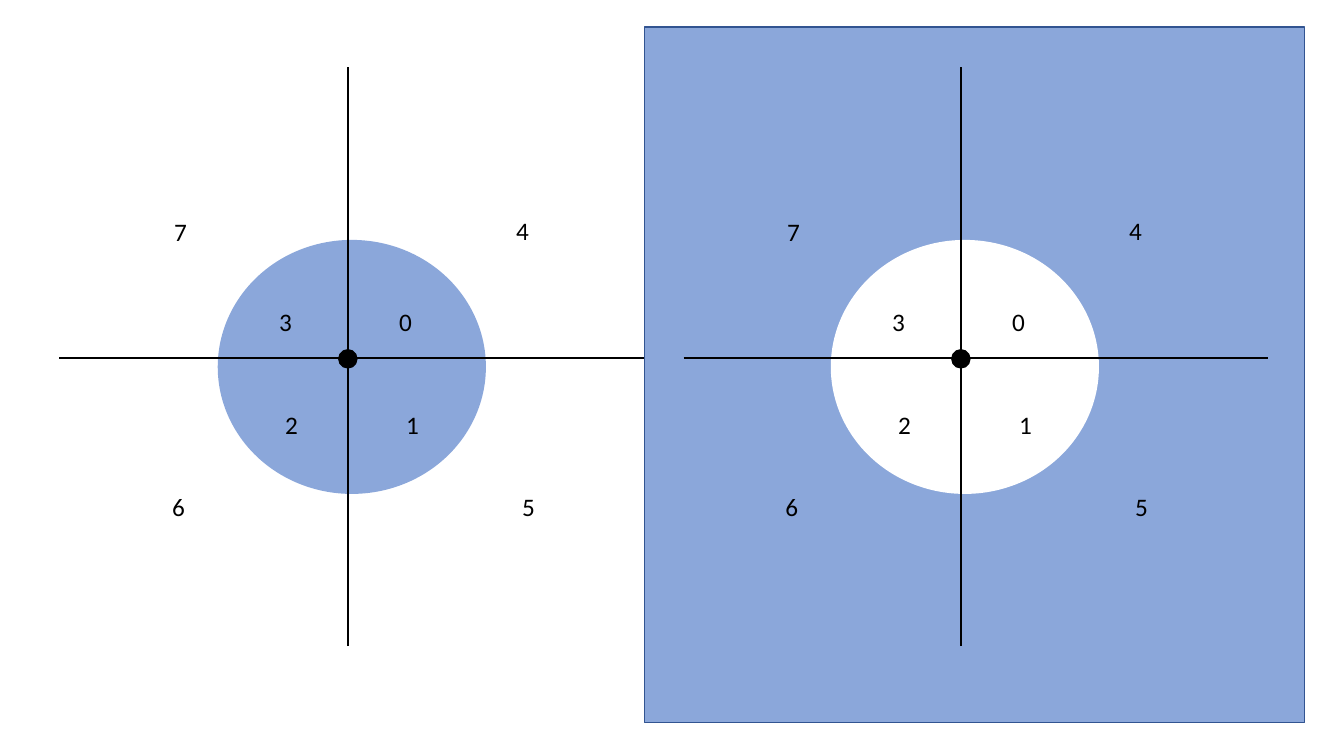
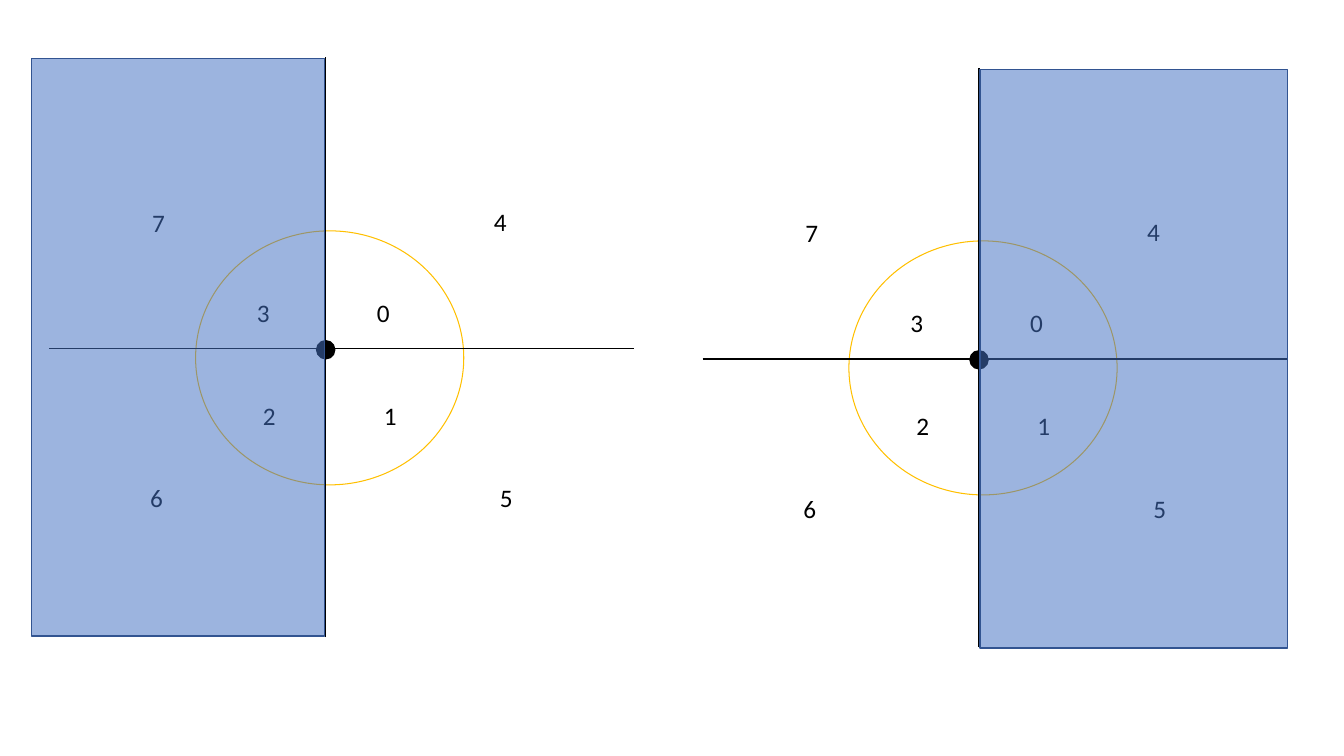
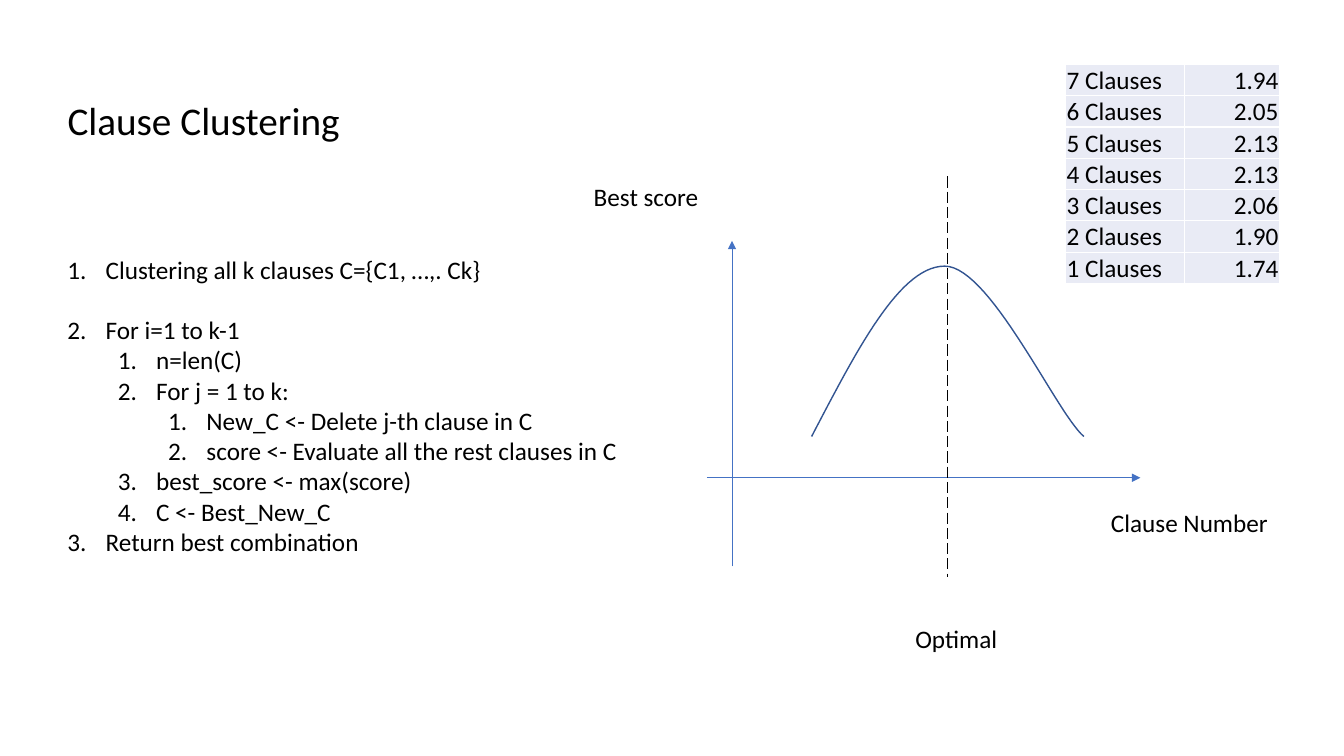
from dataclasses import dataclass

from lxml import etree
from pptx import Presentation
from pptx import util as u
from pptx.dml.color import RGBColor
from pptx.enum import dml, shapes, text
from pptx.oxml.ns import qn


@dataclass(frozen=True)
class Theme:
    font: str = "Calibri"
    ink: str = "000000"
    paper: str = "FFFFFF"
    blue: str = "4472C4"
    dark_blue: str = "325491"
    gold: str = "FFC000"
    cell: str = "E9EBF5"
    title_size: float = 28
    body_size: float = 18


THEME = Theme()

DIGIT_OFFSETS = [
    (0.41, -0.57), (0.48, 0.45), (-0.72, 0.45), (-0.78, -0.57),
    (1.57, -1.47), (1.63, 1.27), (-1.84, 1.27), (-1.82, -1.46),
]

STEPS = [
    (0, "Clustering all k clauses C={C1, …,. Ck}"),
    (0, "For i=1 to k-1"),
    (1, "n=len(C)"),
    (1, "For j = 1 to k:"),
    (2, "New_C <- Delete j-th clause in C"),
    (2, "score <- Evaluate all the rest clauses in C"),
    (1, "best_score <- max(score)"),
    (1, "C <- Best_New_C"),
    (0, "Return best combination"),
]

SCORES = ["1.94", "2.05", "2.13", "2.13", "2.06", "1.90", "1.74"]


def rgb(color):
    return RGBColor.from_string(color)


def inches(*lengths):
    return [u.Inches(length) for length in lengths]


def write(paragraph, words, size=THEME.body_size, color=THEME.ink, align=text.PP_ALIGN.LEFT):
    paragraph.alignment = align
    run = paragraph.add_run()
    run.text = words
    run.font.name = THEME.font
    run.font.size = u.Pt(size)
    run.font.color.rgb = rgb(color)


def fit_frame(frame, wrap=False):
    frame.word_wrap = wrap
    frame.auto_size = text.MSO_AUTO_SIZE.SHAPE_TO_FIT_TEXT
    frame.vertical_anchor = text.MSO_ANCHOR.TOP
    frame.margin_left = frame.margin_right = u.Inches(0.1)
    frame.margin_top = frame.margin_bottom = u.Inches(0.05)


def add_label(parent, words, left, top, width, height=0.4):
    label = parent.add_textbox(*inches(left, top, width, height))
    fit_frame(label.text_frame)
    write(label.text_frame.paragraphs[0], words)


def paint(shape, fill=None, opacity=100, line=None, line_width=1):
    shape.shadow.inherit = False
    if fill:
        shape.fill.solid()
        shape.fill.fore_color.rgb = rgb(fill)
        if opacity < 100:
            color = shape._element.spPr.find(qn("a:solidFill"))[0]
            etree.SubElement(color, qn("a:alpha")).set("val", str(opacity * 1000))
    else:
        shape.fill.background()
    if line:
        shape.line.color.rgb = rgb(line)
        shape.line.width = u.Pt(line_width)
    else:
        shape.line.fill.background()


def add_figure(parent, kind, left, top, width, height, **look):
    figure = parent.add_shape(kind, *inches(left, top, width, height))
    paint(figure, **look)
    return figure


def add_line(parent, start, end, color=THEME.ink, width=1, dash=None, arrow=False):
    line = parent.add_connector(shapes.MSO_CONNECTOR.STRAIGHT, *inches(*start, *end))
    line.line.color.rgb = rgb(color)
    line.line.width = u.Pt(width)
    if dash:
        line.line.dash_style = dash
    properties = line._element.spPr
    if arrow:
        etree.SubElement(properties.find(qn("a:ln")), qn("a:tailEnd")).set("type", "triangle")
    etree.SubElement(properties, qn("a:effectLst"))
    return line


def add_quadrants(slide, x, y, axis_left, **circle):
    parent = slide.shapes.add_group_shape().shapes
    oval = shapes.MSO_SHAPE.OVAL
    add_figure(parent, oval, x - 1.29, y - 1.18, 2.66, 2.52, **circle)
    axis_y = y - 0.01
    axis = add_line(parent, (axis_left, axis_y), (axis_left + 5.8, axis_y))
    add_line(parent, (x, y + 2.85), (x, y - 2.9))
    for digit, (dx, dy) in enumerate(DIGIT_OFFSETS):
        add_label(parent, str(digit), x + dx, y + dy, 0.33)
    add_figure(parent, oval, x - 0.09, y - 0.09, 0.18, 0.18, fill=THEME.ink, line=THEME.ink)
    return axis


def add_region(slide, left, top, width, height, opacity):
    return add_figure(slide.shapes, shapes.MSO_SHAPE.RECTANGLE, left, top, width, height,
                      fill=THEME.blue, opacity=opacity, line=THEME.dark_blue)


def add_steps(slide, left, top, width, height):
    frame = slide.shapes.add_textbox(*inches(left, top, width, height)).text_frame
    fit_frame(frame, wrap=True)
    for index, (level, words) in enumerate(STEPS):
        step = frame.add_paragraph() if index else frame.paragraphs[0]
        step.level = level
        properties = step._p.get_or_add_pPr()
        properties.set("marL", str(u.Inches(0.38 + 0.5 * level)))
        properties.set("indent", str(-u.Inches(0.38)))
        etree.SubElement(properties, qn("a:buFont")).set("typeface", "+mj-lt")
        etree.SubElement(properties, qn("a:buAutoNum")).set("type", "arabicPeriod")
        if index == 1:
            step.space_before = u.Pt(21.6)
        write(step, words)


def bezier(points, t):
    weights = ((1 - t) ** 3, 3 * t * (1 - t) ** 2, 3 * t ** 2 * (1 - t), t ** 3)
    return inches(*(sum(w * p[axis] for w, p in zip(weights, points)) for axis in (0, 1)))


def add_score_curve(slide, segments, samples=30):
    trace = [bezier(segment, i / samples) for segment in segments for i in range(1, samples + 1)]
    builder = slide.shapes.build_freeform(*inches(*segments[0][0]))
    builder.add_line_segments(trace, close=False)
    paint(builder.convert_to_shape(), line=THEME.dark_blue)


def add_borders(cell):
    properties = cell._tc.get_or_add_tcPr()
    for side in ("lnL", "lnR", "lnT", "lnB"):
        border = etree.SubElement(properties, qn(f"a:{side}"), w=str(u.Pt(1)))
        fill = etree.SubElement(border, qn("a:solidFill"))
        etree.SubElement(fill, qn("a:srgbClr")).set("val", THEME.paper)


def add_score_table(slide, left, top, widths, row_height):
    count = len(SCORES)
    table = slide.shapes.add_table(
        count, 2, *inches(left, top, sum(widths), row_height * count)).table
    table.first_row = table.horz_banding = False
    for column, width in zip(table.columns, widths):
        column.width = u.Inches(width)
    for index, score in enumerate(SCORES):
        table.rows[index].height = u.Inches(row_height)
        entries = [(f"{count - index} Clauses", text.PP_ALIGN.LEFT), (score, text.PP_ALIGN.RIGHT)]
        for cell, (words, align) in zip(table.rows[index].cells, entries):
            add_borders(cell)
            cell.fill.solid()
            cell.fill.fore_color.rgb = rgb(THEME.cell)
            cell.margin_left = cell.margin_right = cell.margin_top = u.Inches(0.01)
            cell.margin_bottom = 0
            cell.vertical_anchor = text.MSO_ANCHOR.BOTTOM
            write(cell.text_frame.paragraphs[0], words, align=align)


def set_title(slide, words, left, top, width, height):
    title = slide.shapes.title
    title.left, title.top, title.width, title.height = inches(left, top, width, height)
    fit_frame(title.text_frame)
    write(title.text_frame.paragraphs[0], words, size=THEME.title_size)


def build_inside_outside(slide):
    add_region(slide, 6.39, 0.27, 6.55, 6.9, opacity=62)
    add_quadrants(slide, 9.53, 3.56, 6.78, fill=THEME.paper)
    add_quadrants(slide, 3.45, 3.56, 0.59, fill=THEME.blue, opacity=62)


def build_left_right(slide):
    add_quadrants(slide, 3.23, 3.47, 0.49, line=THEME.gold, line_width=0.75)
    add_region(slide, 0.31, 0.58, 2.91, 5.73, opacity=53)
    axis = add_quadrants(slide, 9.71, 3.57, 6.97, line=THEME.gold, line_width=0.75)
    right_half = add_region(slide, 9.72, 0.69, 3.05, 5.74, opacity=53)
    axis.end_connect(right_half, 3)


def build_clustering(slide):
    set_title(slide, "Clause Clustering", 0.57, 0.91, 3.02, 0.57)
    add_line(slide.shapes, (7.01, 4.74), (11.31, 4.74), THEME.blue, 0.5, arrow=True)
    add_line(slide.shapes, (7.26, 5.62), (7.26, 2.39), THEME.blue, 0.5, arrow=True)
    peak = (9.37, 2.64)
    add_score_curve(slide, [
        [(8.05, 4.33), (8.49, 3.49), (8.92, 2.64), peak],
        [peak, (9.82, 2.64), (10.48, 4.1), (10.75, 4.33)],
    ])
    add_label(slide.shapes, "Clause Number", 10.92, 4.98, 1.78)
    add_label(slide.shapes, "Best score", 5.79, 1.75, 1.31)
    add_steps(slide, 0.57, 2.47, 5.97, 3.13)
    add_line(slide.shapes, (9.4, 1.75), (9.4, 5.72), dash=dml.MSO_LINE.LONG_DASH)
    add_label(slide.shapes, "Optimal", 8.98, 6.13, 1.08)
    add_score_table(slide, 10.57, 0.64, (1.18, 0.94), 0.31)


def main():
    deck = Presentation()
    deck.slide_width, deck.slide_height = inches(13.33, 7.5)
    title_only, blank = deck.slide_layouts[5], deck.slide_layouts[6]
    build_inside_outside(deck.slides.add_slide(blank))
    build_left_right(deck.slides.add_slide(blank))
    build_clustering(deck.slides.add_slide(title_only))
    deck.save("out.pptx")


if __name__ == "__main__":
    main()
